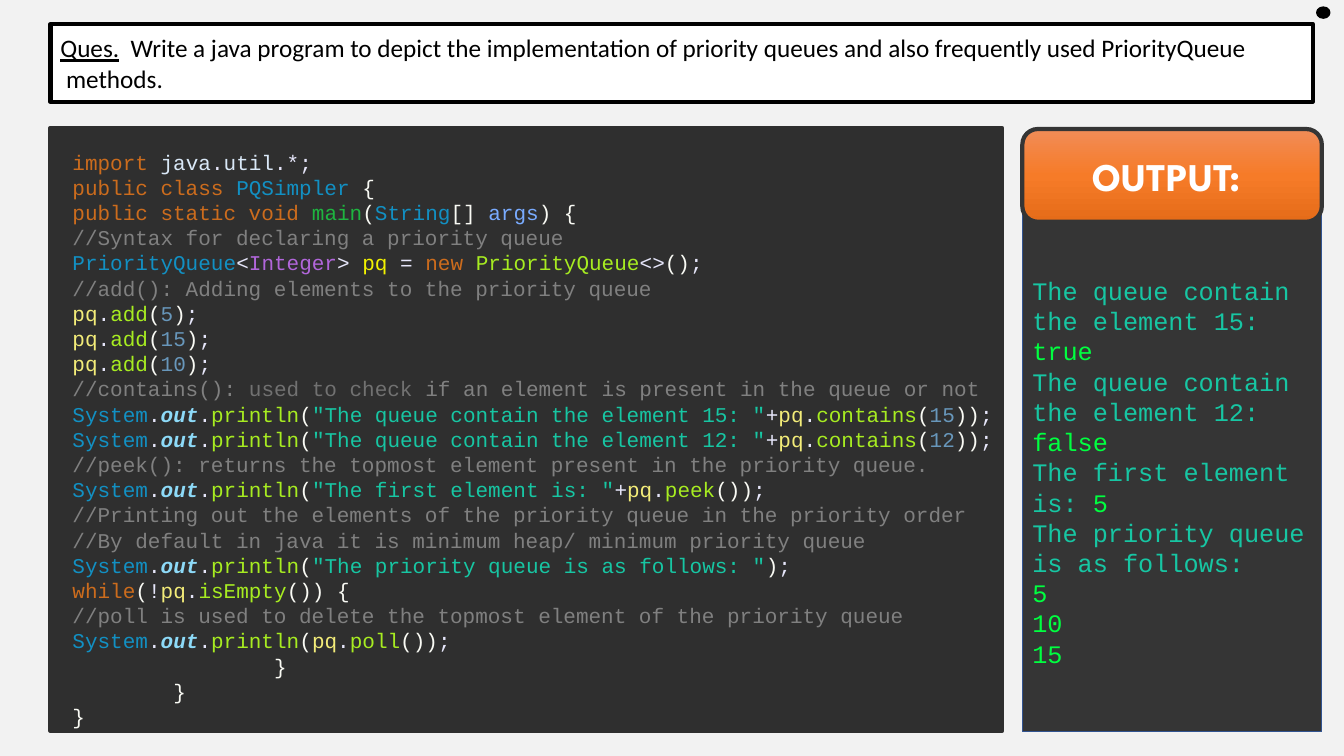
from copy import deepcopy

from pptx import Presentation
from pptx import util as u
from pptx.dml.color import RGBColor
from pptx.enum import shapes, text

COLORS = {
    "page": "F2F2F2", "white": "FFFFFF", "black": "000000",
    "editor": "2F2F2F", "console": "353535", "console_edge": "325491",
    "keyword": "CC6C1D", "package": "D9E8F7", "operator": "E6E6FA",
    "type": "1290C3", "bracket": "F9FAF4", "declared": "1EB540",
    "parameter": "79ABFF", "comment": "808080", "dim": "717171",
    "generic": "B166DA", "local": "F2F200", "variable": "F3EC79",
    "method": "A7EC21", "number": "6897BB", "field": "8DDAF8",
    "string": "17C6A3", "result": "00FF40",
    "top": "F18C57", "middle": "F67B28", "bottom": "E56C19",
}


def comment(words):
    return [("comment", "//" + words)]


def call(method, arg=""):
    runs = [("variable", "pq"), ("operator", "."), ("method", method)]
    if arg:
        return runs + [("bracket", "("), ("number", arg), ("bracket", ")")]
    return runs + [("bracket", "()")]


def println(*parts):
    return [("type", "System"), ("operator", "."), ("field", "out"),
            ("operator", "."), ("method", "println"), ("bracket", "("),
            *parts, ("bracket", ")"), ("operator", ";")]


def print_result(label, method, arg=""):
    return println(("string", label), ("operator", "+"), *call(method, arg))


END = ("operator", ";")
QUESTION = [[
    ("black", "Ques."),
    ("black", "  Write a java program to depict the implementation of priority queues "
              "and also frequently used PriorityQueue"),
    ("black", "\n"),
    ("black", " methods."),
]]
CODE = [
    [("keyword", "import"), ("package", " java"), ("operator", "."),
     ("package", "util"), ("operator", ".*;")],
    [("keyword", "public class "), ("type", "PQSimpler "), ("bracket", "{")],
    [("keyword", "public static void "), ("declared", "main"), ("bracket", "("),
     ("type", "String"), ("bracket", "[] "), ("parameter", "args"), ("bracket", ") {")],
    comment("Syntax for declaring a priority queue"),
    [("type", "PriorityQueue"), ("operator", "<"), ("generic", "Integer"),
     ("operator", "> "), ("local", "pq "), ("operator", "= "), ("keyword", "new "),
     ("method", "PriorityQueue"), ("operator", "<>"), ("bracket", "()"), END],
    comment("add(): Adding elements to the priority queue"),
    *[call("add", n) + [END] for n in ("5", "15", "10")],
    [("comment", "//contains(): "), ("dim", "used to check "),
     ("comment", "if an element is present in the queue or not")],
    *[print_result(f'"The queue contain the element {n}: "', "contains", n)
      for n in ("15", "12")],
    comment("peek(): returns the topmost element present in the priority queue."),
    print_result('"The first element is: "', "peek"),
    comment("Printing out the elements of the priority queue in the priority order"),
    comment("By default in java it is minimum heap/ minimum priority queue"),
    println(("string", '"The priority queue is as follows: "')),
    [("keyword", "while"), ("bracket", "("), ("operator", "!"),
     *call("isEmpty"), ("bracket", ") {")],
    comment("poll is used to delete the topmost element of the priority queue"),
    println(*call("poll")),
    *[[("bracket", "}")]] * 3,
]
CLOSING_INDENTS = [2, 1, 0]
OUTPUT = [
    [("string", "The queue contain the element 15: "), ("result", "true")],
    [("string", "The queue contain the element 12:"), ("result", " false")],
    [("string", "The first element is: "), ("result", "5")],
    [("string", "The priority queue is as follows:")],
    *[[("result", n)] for n in ("5", "10", "15")],
]
HEADING = [[("white", "OUTPUT: ")]]


def rgb(name):
    return RGBColor.from_string(COLORS[name])


def inches(box):
    return [u.Inches(v) for v in box]


def add_panel(slide, box, fill, line, width, kind=shapes.MSO_SHAPE.RECTANGLE):
    sp = slide.shapes.add_shape(kind, *inches(box))
    sp.shadow.inherit = False
    sp.fill.solid()
    sp.fill.fore_color.rgb = rgb(fill)
    sp.line.color.rgb = rgb(line)
    sp.line.width = u.Pt(width)
    return sp


def write(sp, lines, size, font, bold=False, align=text.PP_ALIGN.LEFT,
          anchor=text.MSO_ANCHOR.MIDDLE):
    tf = sp.text_frame
    tf.word_wrap = True
    tf.vertical_anchor = anchor
    for i, runs in enumerate(lines):
        p = tf.paragraphs[0] if i == 0 else tf.add_paragraph()
        p.alignment = align
        for color, words in runs:
            if words == "\n":
                p.add_line_break()
                continue
            r = p.add_run()
            r.text = words
            r.font.size = u.Pt(size)
            r.font.name = font
            r.font.color.rgb = rgb(color)
            r.font.bold = bold or color == "field"
            r.font.italic = color == "field"
    return tf


def shade(sp, names):
    sp.fill.gradient()
    sp.fill.gradient_angle = 270
    first = sp.fill._fill._gradFill.gsLst[0]
    first.addnext(deepcopy(first))
    for i, (stop, name) in enumerate(zip(sp.fill.gradient_stops, names)):
        stop.position = i / (len(names) - 1)
        stop.color.rgb = rgb(name)


def main():
    prs = Presentation()
    prs.slide_width, prs.slide_height = inches((13.33, 7.5))
    slide = prs.slides.add_slide(prs.slide_layouts[6])
    slide.background.fill.solid()
    slide.background.fill.fore_color.rgb = rgb("page")

    question = add_panel(slide, (0.5, 0.24, 12.52, 0.77), "white", "black", 3)
    tf = write(question, QUESTION, 18, "Calibri")
    tf.paragraphs[0].runs[0].font.underline = True

    add_panel(slide, (0.5, 1.27, 9.44, 5.98), "editor", "editor", 3)
    code = slide.shapes.add_textbox(*inches((0.62, 1.43, 9.52, 6.16)))
    tf = write(code, CODE, 15, "Courier New", anchor=text.MSO_ANCHOR.TOP)
    tf.auto_size = text.MSO_AUTO_SIZE.SHAPE_TO_FIT_TEXT
    for p, indent in zip(tf.paragraphs[-3:], CLOSING_INDENTS):
        p._p.get_or_add_pPr().set("marL", str(u.Inches(indent)))

    console = add_panel(slide, (10.14, 2.1, 2.97, 5.16), "console", "console_edge", 1)
    write(console, OUTPUT, 18, "Courier New")

    heading = add_panel(slide, (10.14, 1.28, 2.97, 0.92), "middle", "console", 3,
                        shapes.MSO_SHAPE.ROUNDED_RECTANGLE)
    shade(heading, ("top", "middle", "bottom"))
    write(heading, HEADING, 28, "League Spartan", bold=True, align=text.PP_ALIGN.CENTER)

    add_panel(slide, (13.06, 0.07, 0.13, 0.11), "black", "black", 1,
              shapes.MSO_SHAPE.OVAL)
    prs.save("out.pptx")


if __name__ == "__main__":
    main()
